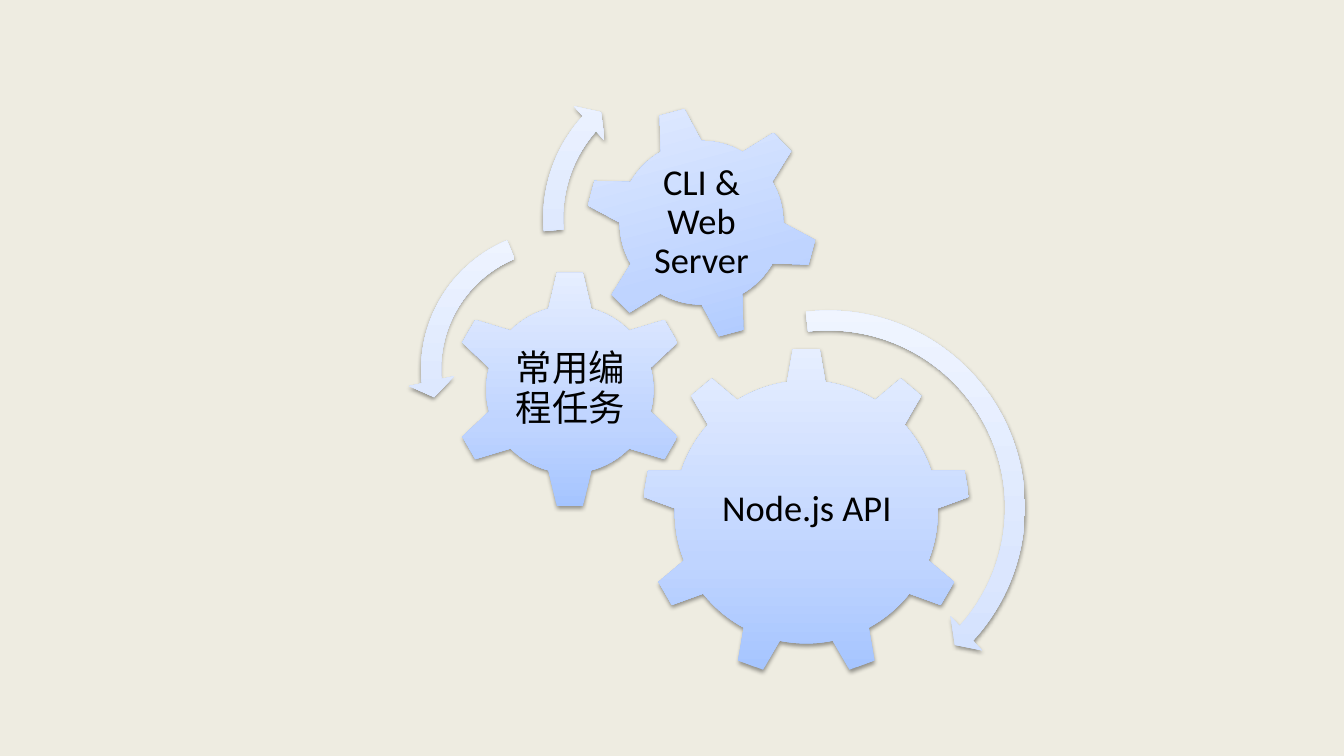
from copy import deepcopy
from dataclasses import dataclass

from lxml import etree
from pptx import Presentation
from pptx.dml.color import RGBColor
from pptx.enum.shapes import MSO_SHAPE
from pptx.enum.text import MSO_ANCHOR, PP_ALIGN
from pptx.oxml.ns import qn
from pptx.util import Pt

GEAR_6 = MSO_SHAPE.GEAR_6
GEAR_9 = MSO_SHAPE.GEAR_9
CLOCKWISE = MSO_SHAPE.CIRCULAR_ARROW
COUNTERCLOCKWISE = MSO_SHAPE.LEFT_CIRCULAR_ARROW
CENTER = PP_ALIGN.CENTER
MIDDLE = MSO_ANCHOR.MIDDLE
BLANK_LAYOUT = 6


@dataclass(frozen=True)
class Theme:
    background: str = "EEECE1"
    text: str = "000000"
    shadow: str = "000000"
    gear: tuple = ("A4C4FF", "BFD4FF", "E6EEFF")
    arrow: tuple = ("CDDDFE", "DBE6FE", "F0F5FF")
    font: str = "Calibri"
    label_size: float = 26


def write_text(frame, text, *, font, size, color, align=CENTER, line_spacing=0.9):
    paragraph = frame.paragraphs[0]
    paragraph.alignment = align
    paragraph.line_spacing = line_spacing
    run = paragraph.add_run()
    run.text = text
    run.font.name = font
    run.font.size = Pt(size)
    run.font.color.rgb = RGBColor.from_string(color)


class GearSlide:
    def __init__(self, presentation, theme):
        self.theme = theme
        self.slide = presentation.slides.add_slide(
            presentation.slide_layouts[BLANK_LAYOUT])
        fill = self.slide.background.fill
        fill.solid()
        fill.fore_color.rgb = RGBColor.from_string(theme.background)

    def gradient(self, shape, colors):
        """Fill upwards with three colours, the middle one at 35%."""
        shape.fill.gradient()
        shape.fill.gradient_angle = 90
        stop_list = shape.element.spPr.find(".//" + qn("a:gsLst"))
        stop_list.insert(1, deepcopy(stop_list[0]))
        for stop, color, position in zip(
                shape.fill.gradient_stops, colors, (0, 0.35, 1)):
            stop.color.rgb = RGBColor.from_string(color)
            stop.position = position

    def shadow(self, shape):
        shape.shadow.inherit = False
        effects = shape.element.spPr.find(qn("a:effectLst"))
        outer = etree.SubElement(
            effects, qn("a:outerShdw"), blurRad=str(Pt(3.1)),
            dist=str(Pt(1.6)), dir="5400000", rotWithShape="0")
        color = etree.SubElement(outer, qn("a:srgbClr"), val=self.theme.shadow)
        etree.SubElement(color, qn("a:alpha"), val="38000")

    def square_shape(self, kind, left, top, size, colors):
        shape = self.slide.shapes.add_shape(
            kind, Pt(left), Pt(top), Pt(size), Pt(size))
        shape.line.fill.background()
        self.gradient(shape, colors)
        self.shadow(shape)
        return shape

    def gear(self, kind, left, top, size, rotation=0):
        gear = self.square_shape(kind, left, top, size, self.theme.gear)
        gear.rotation = rotation

    def arrow(self, kind, left, top, size, adjustments):
        arrow = self.square_shape(kind, left, top, size, self.theme.arrow)
        for index, value in enumerate(adjustments):
            arrow.adjustments[index] = value

    def label(self, text, left, top, width, height):
        box = self.slide.shapes.add_textbox(
            Pt(left), Pt(top), Pt(width), Pt(height))
        frame = box.text_frame
        frame.word_wrap = True
        frame.vertical_anchor = MIDDLE
        frame.margin_left = frame.margin_right = Pt(2.6)
        frame.margin_top = frame.margin_bottom = Pt(2.6)
        write_text(frame, text, font=self.theme.font,
                   size=self.theme.label_size, color=self.theme.text)


def main():
    presentation = Presentation()
    presentation.slide_width = Pt(960)
    presentation.slide_height = Pt(540)
    slide = GearSlide(presentation, Theme())

    slide.gear(GEAR_9, 458.6, 248.4, 234.7)
    slide.label("Node.js API", 506.2, 303.8, 140.4, 121)
    slide.gear(GEAR_6, 321.8, 193, 170.6)
    slide.label("常用编程任务", 364.9, 236.2, 85.2, 84.2)
    slide.gear(GEAR_6, 417.6, 75.6, 167, rotation=345)
    slide.label("CLI & Web Server", 454.3, 112.3, 93.6, 93.6)

    # Adjustments: thickness, head angle, end angle, start angle, head width
    slide.arrow(CLOCKWISE, 441.4, 212.4, 300.2,
                (0.047, 2.99, 25.393, 158.123, 0.055))
    slide.arrow(COUNTERCLOCKWISE, 291.6, 154.8, 218.2,
                (0.065, 4.3, 104.891, 148.378, 0.075))
    slide.arrow(CLOCKWISE, 378.7, 38.2, 235.4,
                (0.06, 3.941, 133.138, 105.082, 0.07))

    presentation.save("out.pptx")


if __name__ == "__main__":
    main()
